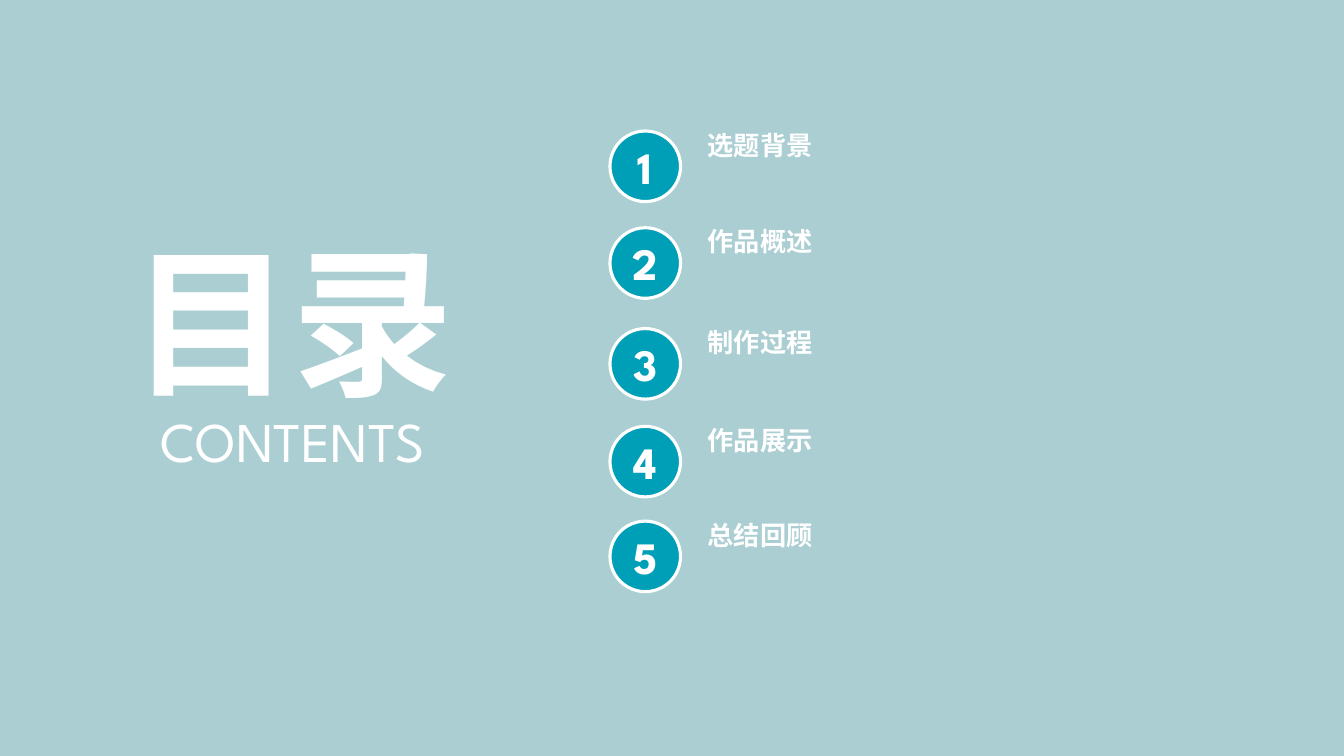
from lxml import etree
from pptx import Presentation
from pptx.dml.color import RGBColor
from pptx.enum import shapes, text
from pptx.oxml import ns
from pptx.util import Inches, Pt

WHITE, TEAL, MIST = "FFFFFF", "009FB8", "AACED2"
LATIN, CJK = "League Spartan", "Noto Sans CJK SC"
CHAPTERS = [
    ("选题背景", 1.23),
    ("作品概述", 2.19),
    ("制作过程", 3.19),
    ("作品展示", 4.16),
    ("总结回顾", 5.1),
]


def paint(fill, color):
    fill.solid()
    fill.fore_color.rgb = RGBColor.from_string(color)


def write(tf, content, align, **font):
    p = tf.paragraphs[0]
    p.alignment = align
    r = p.add_run()
    r.text = content
    for name, value in font.items():
        setattr(r.font, name, value)
    paint(r.font.fill, WHITE)
    ea = etree.SubElement(r.font._element, ns.qn("a:ea"))
    ea.set("typeface", CJK)


def add_label(s, box, content, align=text.PP_ALIGN.LEFT, **font):
    tf = s.shapes.add_textbox(*map(Inches, box)).text_frame
    tf.word_wrap = False
    tf.auto_size = text.MSO_AUTO_SIZE.SHAPE_TO_FIT_TEXT
    write(tf, content, align, **font)


def add_badge(s, top, number):
    box = map(Inches, (6.05, top, 0.7, 0.7))
    sp = s.shapes.add_shape(shapes.MSO_SHAPE.OVAL, *box)
    sp.shadow.inherit = False
    paint(sp.fill, TEAL)
    paint(sp.line.fill, WHITE)
    sp.line.width = Pt(2.25)
    sp.text_frame.vertical_anchor = text.MSO_ANCHOR.MIDDLE
    write(sp.text_frame, str(number), text.PP_ALIGN.CENTER,
          name=LATIN, size=Pt(32), bold=True)


def main():
    prs = Presentation()
    prs.slide_width, prs.slide_height = Inches(13.33), Inches(7.5)
    s = prs.slides.add_slide(prs.slide_layouts[6])
    paint(s.background.fill, MIST)
    center = text.PP_ALIGN.CENTER
    add_label(s, (1.39, 3.98, 3.03, 0.77), "CONTENTS", center,
              name=LATIN, size=Pt(40))
    for number, (title, top) in enumerate(CHAPTERS, 1):
        add_label(s, (6.92, top, 1.25, 0.42), title,
                  name=LATIN, size=Pt(18.7), bold=True)
        add_badge(s, top + 0.07, number)
    add_label(s, (1.19, 2.16, 3.43, 2.04), "目录", center,
              name=CJK, size=Pt(115), bold=True)
    prs.save("out.pptx")


if __name__ == "__main__":
    main()
